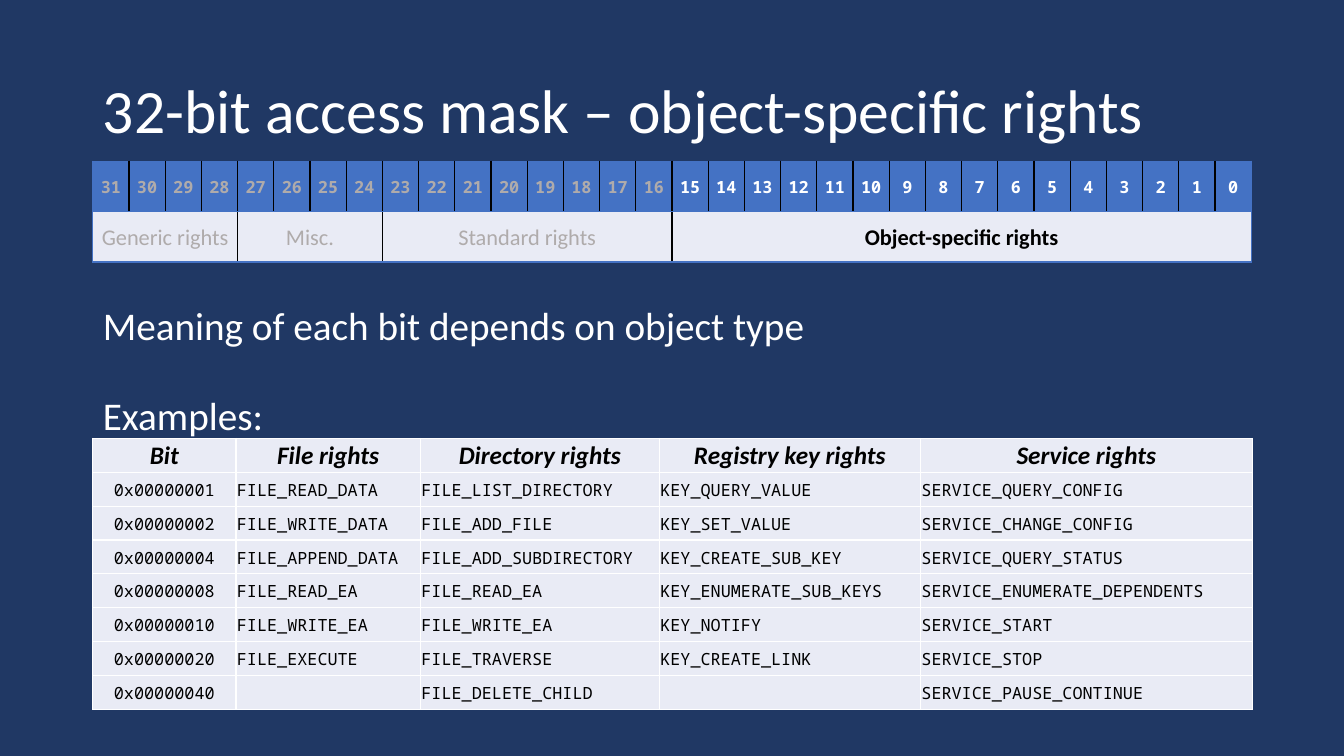
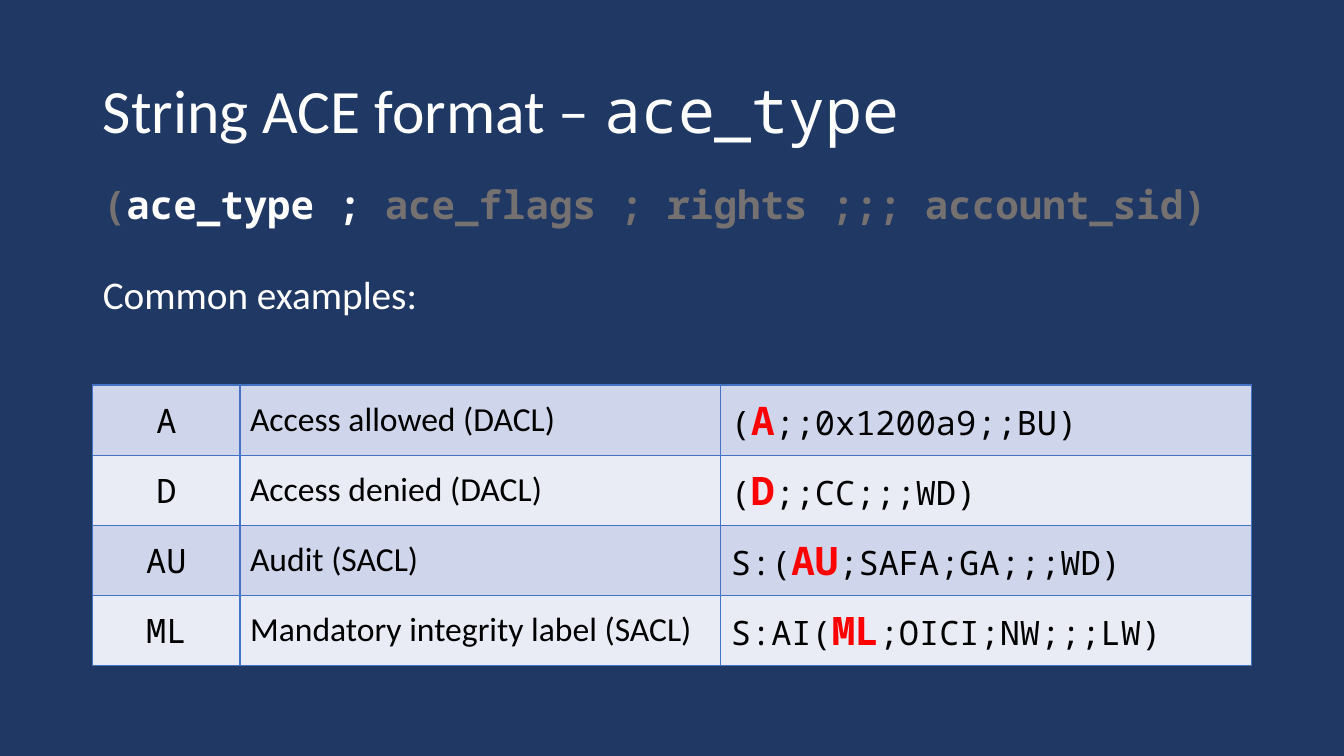
"""Build two slides on access masks and the string ACE format."""
from lxml.etree import SubElement
from pptx import Presentation
from pptx.dml.color import RGBColor
from pptx.enum.text import MSO_ANCHOR as ANCHOR, MSO_AUTO_SIZE as AUTO_SIZE, PP_ALIGN as ALIGN
from pptx.oxml import parse_xml
from pptx.oxml.ns import nsdecls, qn
from pptx.util import Inches, Pt

NAVY = RGBColor(0x20, 0x38, 0x64)
BLUE = RGBColor(0x44, 0x72, 0xC4)
PALE = RGBColor(0xE9, 0xEB, 0xF5)
PALE_BLUE = RGBColor(0xCF, 0xD5, 0xEA)
WHITE = RGBColor(0xFF, 0xFF, 0xFF)
BLACK = RGBColor(0x00, 0x00, 0x00)
SILVER = RGBColor(0xAF, 0xAB, 0xAB)
GREY = RGBColor(0x76, 0x71, 0x71)
RED = RGBColor(0xFF, 0x00, 0x00)

SANS, MONO = "Calibri", "Noto Sans Mono"
LEFT, WIDTH = 0.92, 11.5
BITS = 32


def style(size, name=SANS, color=BLACK, bold=False, italic=False):
    """Return the format values of a run."""
    return {"size": Pt(size), "name": name, "color": color, "bold": bold, "italic": italic}


TITLE = style(44, color=WHITE)
TITLE_CODE = style(44, MONO, WHITE)
BODY = style(28, color=WHITE)
SYNTAX = style(28, MONO, WHITE, bold=True)
SYNTAX_DIM = style(28, MONO, GREY, bold=True)
RIGHTS_HEAD = style(18, bold=True, italic=True)
RIGHTS_CODE = style(12, MONO)
ACE_TEXT = style(24)
ACE_CODE = style(24, MONO)
ACE_MARK = style(28, MONO, RED, bold=True)

RIGHTS = [
    ("Bit", "File rights", "Directory rights", "Registry key rights", "Service rights"),
    ("0x00000001", "FILE_READ_DATA", "FILE_LIST_DIRECTORY", "KEY_QUERY_VALUE",
     "SERVICE_QUERY_CONFIG"),
    ("0x00000002", "FILE_WRITE_DATA", "FILE_ADD_FILE", "KEY_SET_VALUE",
     "SERVICE_CHANGE_CONFIG"),
    ("0x00000004", "FILE_APPEND_DATA", "FILE_ADD_SUBDIRECTORY", "KEY_CREATE_SUB_KEY",
     "SERVICE_QUERY_STATUS"),
    ("0x00000008", "FILE_READ_EA", "FILE_READ_EA", "KEY_ENUMERATE_SUB_KEYS",
     "SERVICE_ENUMERATE_DEPENDENTS"),
    ("0x00000010", "FILE_WRITE_EA", "FILE_WRITE_EA", "KEY_NOTIFY", "SERVICE_START"),
    ("0x00000020", "FILE_EXECUTE", "FILE_TRAVERSE", "KEY_CREATE_LINK", "SERVICE_STOP"),
    ("0x00000040", "", "FILE_DELETE_CHILD", "", "SERVICE_PAUSE_CONTINUE"),
]
MASK_GROUPS = [("Generic rights", 4), ("Misc.", 4), ("Standard rights", 8),
               ("Object-specific rights", 16)]
ACE_TYPES = [
    ("A", "Access allowed (DACL)", "(", ";;0x1200a9;;BU)"),
    ("D", "Access denied (DACL)", "(", ";;CC;;;WD)"),
    ("AU", "Audit (SACL)", "S:(", ";SAFA;GA;;;WD)"),
    ("ML", "Mandatory integrity label (SACL)", "S:AI(", ";OICI;NW;;;LW)"),
]


def add_runs(p, runs):
    """Add (text, style) runs to a paragraph."""
    for text, values in runs:
        r = p.add_run()
        r.text = text
        for key, value in values.items():
            if key == "color":
                r.font.color.rgb = value
            else:
                setattr(r.font, key, value)


def place(sp, top, height):
    """Move a placeholder to the content column and return its text frame."""
    sp.left, sp.top, sp.width, sp.height = (Inches(v) for v in (LEFT, top, WIDTH, height))
    tf = sp.text_frame
    tf.word_wrap = True
    tf.auto_size = AUTO_SIZE.NONE
    return tf


def add_slide(prs, title_runs, body_top, body_height, body_paragraphs):
    """Add a slide with its title and plain body paragraphs."""
    s = prs.slides.add_slide(prs.slide_layouts[1])
    tf = place(s.shapes.title, 0.4, 1.45)
    tf.vertical_anchor = ANCHOR.MIDDLE
    p = tf.paragraphs[0]
    p.alignment, p.line_spacing = ALIGN.LEFT, 0.9
    add_runs(p, title_runs)

    tf = place(s.placeholders[1], body_top, body_height)
    for i, runs in enumerate(body_paragraphs):
        p = tf.add_paragraph() if i else tf.paragraphs[0]
        p.line_spacing, p.space_before = 0.9, Pt(34 if i else 10)
        pPr = p._p.get_or_add_pPr()
        pPr.set("marL", "0")
        pPr.set("indent", "0")
        SubElement(pPr, qn("a:buNone"))
        add_runs(p, runs)
    return s


def add_table(s, top, widths, heights):
    """Add a table without banding, sized by its columns and rows."""
    frame = s.shapes.add_table(len(heights), len(widths), Inches(LEFT), Inches(top),
                               Inches(sum(widths)), Inches(sum(heights)))
    table = frame.table
    table.first_row = table.horz_banding = False
    for items, attr, sizes in ((table.columns, "width", widths), (table.rows, "height", heights)):
        for item, size in zip(items, sizes):
            setattr(item, attr, Inches(size))
    return table


def set_borders(cell, left, right, top, bottom):
    """Give the four sides of a cell one-point lines."""
    tcPr = cell._tc.get_or_add_tcPr()
    for i, (side, color) in enumerate(zip("LRTB", (left, right, top, bottom))):
        tcPr.insert(i, parse_xml(
            f'<a:ln{side} {nsdecls("a")} w="{Pt(1)}"><a:solidFill>'
            f'<a:srgbClr val="{color}"/></a:solidFill></a:ln{side}>'))


def fill_cell(cell, runs, fill, borders, align=ALIGN.CENTER, margins=None, spacing=None):
    """Format a cell and write its runs."""
    cell.fill.solid()
    cell.fill.fore_color.rgb = fill
    set_borders(cell, *borders)
    cell.vertical_anchor = ANCHOR.MIDDLE
    for side, value in (margins or {}).items():
        setattr(cell, f"margin_{side}", Inches(value))
    p = cell.text_frame.paragraphs[0]
    p.alignment, p.line_spacing = align, spacing
    add_runs(p, runs)


def add_rights_table(s):
    """Add the table of example rights per object type."""
    table = add_table(s, 4.35, [1.42, 1.83, 2.37, 2.59, 3.29], [0.336] * len(RIGHTS))
    margins = {"left": 0.01, "top": 0.01, "right": 0.01, "bottom": 0}
    for row, texts in enumerate(RIGHTS):
        for col, text in enumerate(texts):
            runs = [(text, RIGHTS_CODE if row else RIGHTS_HEAD)] if text else []
            align = ALIGN.LEFT if row and col else ALIGN.CENTER
            fill_cell(table.cell(row, col), runs, PALE, [WHITE] * 4, align, margins)


def add_mask_table(s):
    """Add the 32 numbered bits and the groups below them."""
    table = add_table(s, 1.6, [WIDTH / BITS] * BITS, [0.5, 0.5])
    margins = {"left": 0.07, "top": 0, "right": 0.07, "bottom": 0}

    def fill_span(row, col, span, run, fill):
        left = BLACK if col else BLUE
        right = BLACK if col + span < BITS else BLUE
        fill_cell(table.cell(row, col), [run], fill, (left, right, BLUE, BLUE),
                  margins=margins, spacing=1.07)

    for col in range(BITS):
        bit = BITS - 1 - col
        color = WHITE if bit < 16 else SILVER
        fill_span(0, col, 1, (str(bit), style(12, MONO, color, bold=True)), BLUE)
    col = 0
    for name, span in MASK_GROUPS:
        active = span == 16
        table.cell(1, col).merge(table.cell(1, col + span - 1))
        fill_span(1, col, span, (name, style(16, color=BLACK if active else SILVER, bold=active)),
                  PALE)
        col += span


def add_ace_table(s):
    """Add the table of common ACE types."""
    table = add_table(s, 3.82, [1.46, 4.77, 5.26], [0.695] * len(ACE_TYPES))
    for row, (code, meaning, before, after) in enumerate(ACE_TYPES):
        example = [(before, ACE_CODE), (code, ACE_MARK), (after, ACE_CODE)]
        cells = [([(code, ACE_CODE)], ALIGN.CENTER), ([(meaning, ACE_TEXT)], ALIGN.LEFT),
                 (example, ALIGN.LEFT)]
        for col, (runs, align) in enumerate(cells):
            fill_cell(table.cell(row, col), runs, PALE if row % 2 else PALE_BLUE,
                      [BLUE] * 4, align)


def main():
    """Build and save the presentation."""
    prs = Presentation()
    prs.slide_width, prs.slide_height = Inches(13.33), Inches(7.5)
    background = prs.slide_master.background.fill
    background.solid()
    background.fore_color.rgb = NAVY

    s = add_slide(prs, [("32-bit access mask – object-specific rights", TITLE)], 2.99, 3.45,
                  [[("Meaning of each bit depends on object type", BODY)],
                   [("Examples:", BODY)]])
    add_rights_table(s)
    add_mask_table(s)

    s = add_slide(prs, [("String ACE format – ", TITLE), ("ace_type", TITLE_CODE)], 1.79, 4.76,
                  [[("(", SYNTAX_DIM), ("ace_type ; ", SYNTAX),
                    ("ace_flags ; rights ;;; account_sid)", SYNTAX_DIM)],
                   [("Common examples:", BODY)]])
    add_ace_table(s)
    prs.save("out.pptx")


if __name__ == "__main__":
    main()
